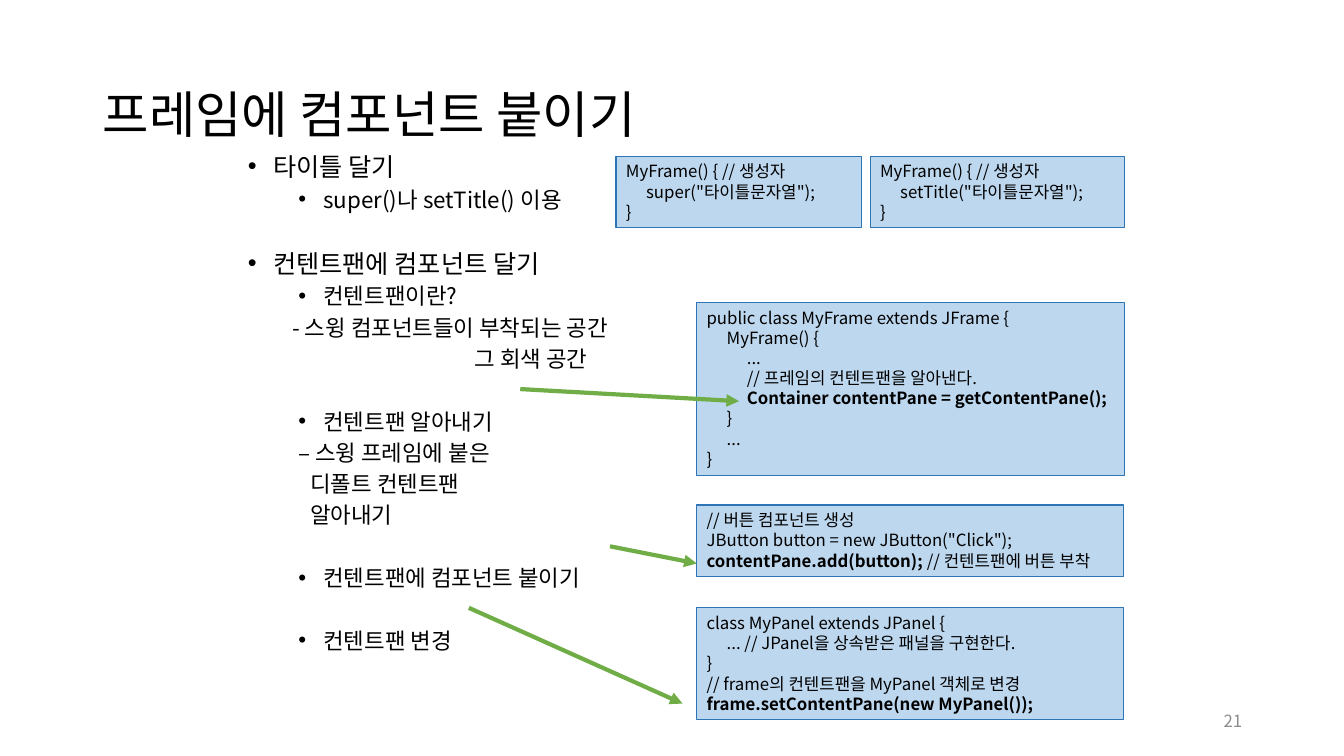
"""Builds the slide on adding components to a Swing frame."""
from lxml import etree
from pptx import Presentation, util as u
from pptx.dml.color import RGBColor
from pptx.enum import shapes, text
from pptx.oxml.ns import qn

PX = 9144
FONT = "Noto Sans CJK KR"
COLORS = {"ink": "000000", "number": "8C8C8C", "code": "BDD7EE",
          "edge": "2E75B6", "arrow": "70AD47"}
CODE_TAB = 20


def prepare(frame, anchor=text.MSO_ANCHOR.TOP):
    frame.word_wrap = True
    frame.vertical_anchor = anchor
    frame.margin_left = frame.margin_right = 10 * PX
    frame.margin_top = frame.margin_bottom = 5 * PX
    return frame


def add_run(paragraph, words, size, color="ink", bold=False):
    run = paragraph.add_run()
    run.text = words
    run.font.size = u.Pt(size)
    run.font.name = FONT
    run.font.bold = bold
    run.font.color.rgb = RGBColor.from_string(COLORS[color])
    etree.SubElement(run.font._element, qn("a:ea")).set("typeface", FONT)


deck = Presentation()
deck.slide_width, deck.slide_height = 1333 * PX, 750 * PX
slide = deck.slides.add_slide(deck.slide_layouts[6])

title_box = slide.shapes.add_textbox(92 * PX, 43 * PX, 1150 * PX, 145 * PX)
title = prepare(title_box.text_frame, text.MSO_ANCHOR.MIDDLE).paragraphs[0]
title.line_spacing = u.Pt(39)
add_run(title, "프레임에 컴포넌트 붙이기", 36)

outline = [
    ("타이틀 달기", 18, 75, True, 0),
    ("super()나 setTitle() 이용", 16, 125, True, 5),
    ("컨텐트팬에 컴포넌트 달기", 18, 75, True, 27.5),
    ("컨텐트팬이란?", 16, 125, True, 5),
    ("- 스윙 컴포넌트들이 부착되는 공간", 16, 94, False, 5),
    ("그 회색 공간", 16, 275, False, 5),
    ("컨텐트팬 알아내기", 16, 125, True, 27.5),
    ("– 스윙 프레임에 붙은", 16, 100, False, 5),
    ("디폴트 컨텐트팬", 16, 112, False, 5),
    ("알아내기", 16, 112, False, 5),
    ("컨텐트팬에 컴포넌트 붙이기", 16, 125, True, 27.5),
    ("컨텐트팬 변경", 16, 125, True, 27.5),
]
outline_box = slide.shapes.add_textbox(186 * PX, 148 * PX, 892 * PX, 551 * PX)
outline_frame = prepare(outline_box.text_frame)
for row, (words, size, margin, bulleted, gap) in enumerate(outline):
    item = outline_frame.add_paragraph() if row else outline_frame.paragraphs[0]
    item.line_spacing = u.Pt(size * 1.08)
    item.space_before = u.Pt(gap)
    props = item._p.get_or_add_pPr()
    props.set("marL", str(margin * PX))
    props.set("indent", str(-25 * PX if bulleted else 0))
    if bulleted:
        etree.SubElement(props, qn("a:buFont")).set("typeface", "Arial")
        etree.SubElement(props, qn("a:buChar")).set("char", "•")
    add_run(item, words, size)

number_box = slide.shapes.add_textbox(942 * PX, 695 * PX, 300 * PX, 40 * PX)
number = prepare(number_box.text_frame, text.MSO_ANCHOR.MIDDLE).paragraphs[0]
number.alignment = text.PP_ALIGN.RIGHT
add_run(number, "21", 12, "number")

listings = [
    ((691, 300, 424, 172), [
        (0, "public class MyFrame extends JFrame {", ""),
        (1, "MyFrame() {", ""),
        (2, "...", ""),
        (2, "// 프레임의 컨텐트팬을 알아낸다.", ""),
        (2, "", "Container contentPane = getContentPane();"),
        (1, "}", ""),
        (1, "...", ""),
        (0, "}", "")]),
    ((691, 603, 423, 111), [
        (0, "class MyPanel extends JPanel {", ""),
        (1, "... // JPanel을 상속받은 패널을 구현한다.", ""),
        (0, "}", ""),
        (0, "// frame의 컨텐트팬을 MyPanel 객체로 변경", ""),
        (0, "", "frame.setContentPane(new MyPanel());")]),
    ((691, 501, 423, 71), [
        (0, "// 버튼 컴포넌트 생성", ""),
        (0, 'JButton button = new JButton("Click");', ""),
        (0, "// 컨텐트팬에 버튼 부착", "contentPane.add(button); ")]),
]
for left, width, call in ((611, 244, "super"), (863, 252, "setTitle")):
    listings.append(((left, 155, width, 71), [
        (0, "MyFrame() { // 생성자", ""),
        (1, call + '("타이틀문자열");', ""),
        (0, "}", "")]))

for place, code in listings:
    panel = slide.shapes.add_shape(shapes.MSO_SHAPE.RECTANGLE, *(n * PX for n in place))
    panel.shadow.inherit = False
    panel.fill.solid()
    panel.fill.fore_color.rgb = RGBColor.from_string(COLORS["code"])
    panel.line.color.rgb = RGBColor.from_string(COLORS["edge"])
    panel.line.width = u.Pt(0.75)
    code_frame = prepare(panel.text_frame)
    for row, (depth, plain, strong) in enumerate(code):
        line = code_frame.add_paragraph() if row else code_frame.paragraphs[0]
        line.alignment = text.PP_ALIGN.LEFT
        line.line_spacing = u.Pt(14.4)
        line._p.get_or_add_pPr().set("marL", str(depth * CODE_TAB * PX))
        if strong:
            add_run(line, strong, 12, bold=True)
        if plain:
            add_run(line, plain, 12)

for ends in ((516, 386, 733, 398), (605, 542, 691, 559), (465, 603, 677, 698)):
    arrow = slide.shapes.add_connector(shapes.MSO_CONNECTOR.STRAIGHT, *(n * PX for n in ends))
    arrow.line.color.rgb = RGBColor.from_string(COLORS["arrow"])
    arrow.line.width = u.Pt(3)
    etree.SubElement(arrow.line._get_or_add_ln(), qn("a:tailEnd")).set("type", "triangle")
    etree.SubElement(arrow._element.spPr, qn("a:effectLst"))

deck.save("out.pptx")
